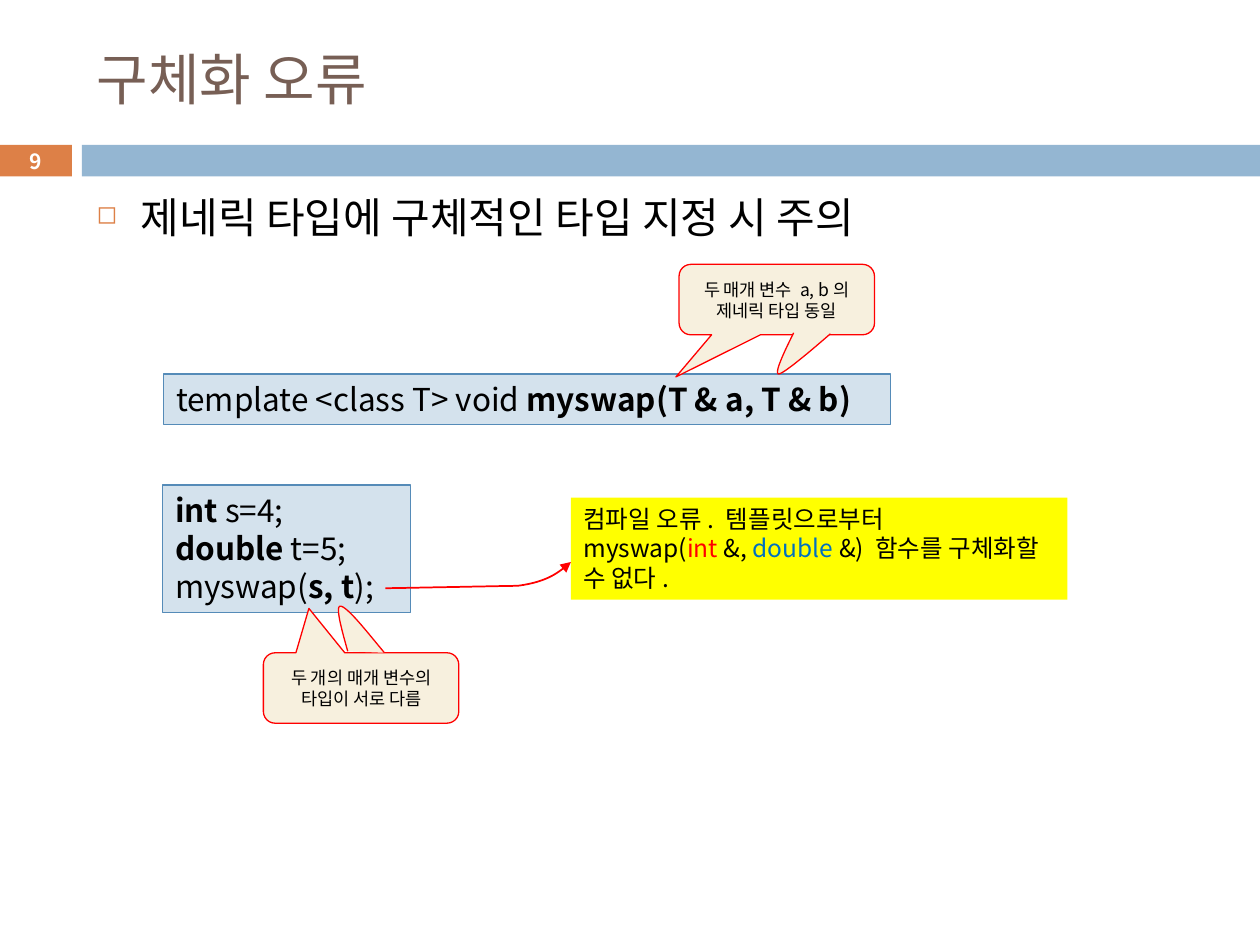
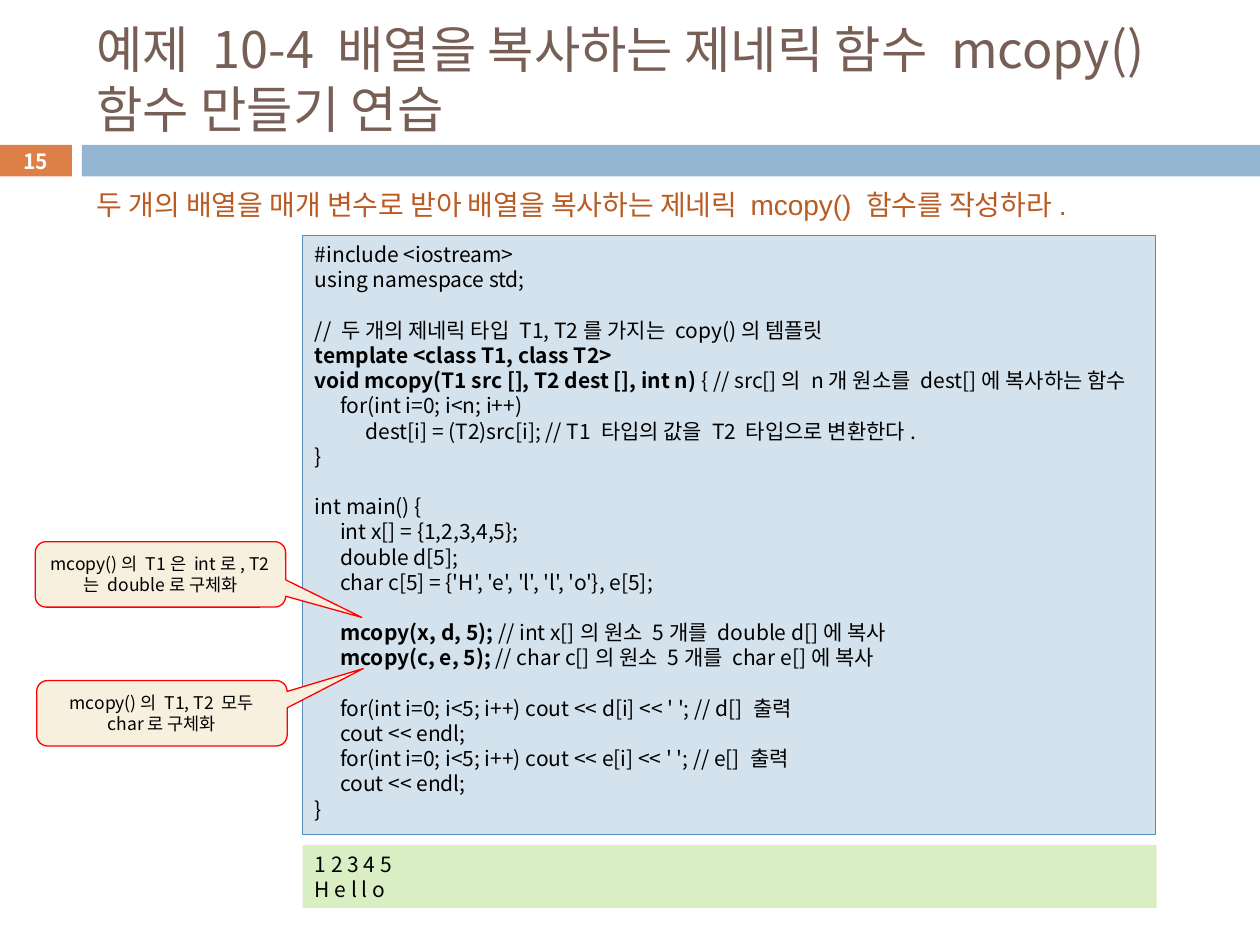
"""Builds two lecture slides about generic functions and their instantiation."""
from lxml.etree import SubElement
from pptx import Presentation
from pptx.dml.color import RGBColor
from pptx.enum.shapes import MSO_SHAPE
from pptx.enum.text import MSO_ANCHOR, PP_ALIGN
from pptx.oxml.ns import qn
from pptx.util import Cm, Pt

FONT = "Noto Sans CJK KR"
BLACK, WHITE, RED, BLUE = "000000", "FFFFFF", "FF0000", "0070C0"
ORANGE, BAND, TITLE, PROMPT = "DD8047", "94B6D2", "775F55", "B95B22"
CODE_FILL, CODE_LINE = "D4E2ED", "558BB8"
NOTE_FILL, ERROR_FILL, OUTPUT_FILL = "F7F0DE", "FFFF00", "DAEEC4"
LEADING = 1.2
TAB = 0.51
BOLD = {"bold": True}

TAG_AT = (0, 2.92, 1.45, 0.64)
BAND_AT = (1.65, 2.92, 23.75, 0.64)
TITLE_AT = (1.7, 0.64, 22.66, 1.88)

CODE = {"fill": CODE_FILL, "line": CODE_LINE}
NOTE = {"fill": NOTE_FILL, "line": RED}
CENTERED = {"anchor": MSO_ANCHOR.MIDDLE, "align": PP_ALIGN.CENTER}

SWAP_BOXES = [
    ((3.3, 7.54, 14.66, 1.02), 18, CODE,
     [(0, "template <class T> void ", ("myswap(T & a, T & b)", BOLD))]),
    ((3.28, 9.78, 5, 2.57), 18, CODE,
     [(0, ("int", BOLD), " s=4;"),
      (0, ("double", BOLD), " t=5;"),
      (0, "myswap(", ("s, t", BOLD), ");")]),
    ((11.51, 10.03, 10.01, 2.06), 14, {"fill": ERROR_FILL},
     [(0, "컴파일 오류. 템플릿으로부터"),
      (0, "myswap(", ("int ", {"color": RED}), "&, ", ("double", {"color": BLUE}),
       " &) 함수를 구체화할 수 없다.")]),
]
SWAP_NOTES = [
    ((13.69, 5.33, 3.94, 1.42), (-0.516, 1.098), "두 매개 변수 a, b의 제네릭 타입 동일"),
    ((5.31, 13.16, 3.94, 1.42), (-0.267, -1.13), "두 개의 매개 변수의 타입이 서로 다름"),
]
SECOND_TAILS = [
    [(16, 6.71), (15.8, 7.11), (15.6, 7.54), (15.7, 7.54),
     (15.82, 7.54), (16.74, 6.73), (16.74, 6.73)],
    [(7.01, 13.13), (6.88, 12.67), (6.76, 12.22), (6.86, 12.22),
     (6.99, 12.22), (7.37, 12.7), (7.75, 13.16)],
]
ERROR_ARROW = [(7.77, 11.86), (7.77, 11.86), (10.44, 11.81), (10.44, 11.81),
               (11.05, 11.73), (11.28, 11.53), (11.51, 11.33)]

COPY_CODE = [
    [(0, "#include <iostream>"),
     (0, "using namespace std;")],
    [(0, "// 두 개의 제네릭 타입 T1, T2를 가지는 copy()의 템플릿"),
     (0, ("template <class T1, class T2>", BOLD)),
     (0, ("void mcopy(T1 src [], T2 dest [], int n) ", BOLD),
      "{ // src[]의 n개 원소를 dest[]에 복사하는 함수"),
     (1, "for(int i=0; i<n; i++)"),
     (2, "dest[i] = (T2)src[i]; // T1 타입의 값을 T2 타입으로 변환한다."),
     (0, "}")],
    [(0, "int main() {"),
     (1, "int x[] = {1,2,3,4,5};"),
     (1, "double d[5];"),
     (1, "char c[5] = {'H', 'e', 'l', 'l', 'o'}, e[5];")],
    [(1, ("mcopy(x, d, 5); ", BOLD), "// int x[]의 원소 5개를 double d[]에 복사"),
     (1, ("mcopy(c, e, 5); ", BOLD), "// char c[]의 원소 5개를 char e[]에 복사")],
    [(1, "for(int i=0; i<5; i++) cout << d[i] << ' '; // d[] 출력"),
     (1, "cout << endl;"),
     (1, "for(int i=0; i<5; i++) cout << e[i] << ' '; // e[] 출력"),
     (1, "cout << endl;"),
     (0, "}")],
]
COPY_OUTPUT = [(0, "1 2 3 4 5"), (0, "H e l l o")]
COPY_NOTES = [
    ((0.71, 10.92, 5.05, 1.32), (0.804, 0.657), "mcopy()의 T1은 int로, T2는 double로 구체화"),
    ((0.74, 13.72, 5.05, 1.32), (0.804, -0.684), "mcopy()의 T1, T2 모두 char로 구체화"),
]


def color(value):
    return RGBColor.from_string(value)


def paint(shape, fill=None, line=None, width=0.75):
    shape.shadow.inherit = False
    if fill:
        shape.fill.solid()
        shape.fill.fore_color.rgb = color(fill)
    else:
        shape.fill.background()
    if line:
        shape.line.color.rgb = color(line)
        shape.line.width = Pt(width)
    else:
        shape.line.fill.background()


def add_span(para, text, ink, **values):
    span = para.add_run()
    span.text = text
    span.font.color.rgb = color(values.pop("color", ink))
    for name, value in values.items():
        setattr(span.font, name, value)
    SubElement(span.font._element, qn("a:ea"), typeface=FONT)


def write(shape, blocks, size, ink=BLACK, anchor=MSO_ANCHOR.TOP, align=PP_ALIGN.LEFT,
          font=FONT, bold=False):
    frame = shape.text_frame
    frame.word_wrap = True
    frame.vertical_anchor = anchor
    para = None
    for block_index, block in enumerate(blocks):
        for line_index, (level, *spans) in enumerate(block):
            para = frame.add_paragraph() if para else frame.paragraphs[0]
            starts_block = block_index > 0 and line_index == 0
            layout = {"alignment": align, "line_spacing": Pt(size * LEADING),
                      "space_before": Pt(size * LEADING if starts_block else 0)}
            for name, value in layout.items():
                setattr(para, name, value)
            if level:
                para._p.get_or_add_pPr().set("marL", str(Cm(TAB * level)))
            for span in spans:
                text, special = (span, {}) if isinstance(span, str) else span
                style = {"name": font, "size": Pt(size), "bold": bold, **special}
                add_span(para, text, ink, **style)


def add_box(page, place, look, kind=MSO_SHAPE.RECTANGLE):
    box = page.shapes.add_shape(kind, *map(Cm, place))
    paint(box, **look)
    return box


def add_text(page, place, text, size, **style):
    box = page.shapes.add_textbox(*map(Cm, place))
    write(box, [[(0, text)]], size, **style)
    return box


def add_note(page, place, tip, text):
    note = add_box(page, place, NOTE, MSO_SHAPE.ROUNDED_RECTANGULAR_CALLOUT)
    for index, value in enumerate((*tip, 0.167)):
        note.adjustments[index] = value
    write(note, [[(0, text)]], 10, **CENTERED)


def curve_points(controls, steps=16):
    points = [controls[0]]
    for start in range(0, len(controls) - 1, 3):
        corners = controls[start:start + 4]
        for step in range(1, steps + 1):
            t = step / steps
            weights = ((1 - t) ** 3, 3 * t * (1 - t) ** 2, 3 * t ** 2 * (1 - t), t ** 3)
            points.append(tuple(sum(w * corner[axis] for w, corner in zip(weights, corners))
                                for axis in (0, 1)))
    return points


def add_curve(page, controls, **look):
    first, *rest = [(Cm(x), Cm(y)) for x, y in curve_points(controls)]
    builder = page.shapes.build_freeform(*first)
    builder.add_line_segments(rest, close=False)
    curve = builder.convert_to_shape()
    paint(curve, **look)
    return curve


def add_bullet(para):
    props = para._p.get_or_add_pPr()
    props.set("marL", str(Cm(0.89)))
    props.set("indent", str(Cm(-0.89)))
    SubElement(SubElement(props, qn("a:buClr")), qn("a:srgbClr"), val=ORANGE)
    SubElement(props, qn("a:buSzPct"), val="60000")
    SubElement(props, qn("a:buChar"), char="◻")


def add_page(deck, number, title, size):
    page = deck.slides.add_slide(deck.slide_layouts[6])
    tag = add_box(page, TAG_AT, {"fill": ORANGE})
    write(tag, [[(0, number)]], 12, WHITE, bold=True, **CENTERED)
    add_box(page, BAND_AT, {"fill": BAND})
    add_text(page, TITLE_AT, title, size, ink=TITLE, anchor=MSO_ANCHOR.MIDDLE)
    return page


def build_swap_page(deck):
    page = add_page(deck, "9", "구체화 오류", 32)
    point = add_text(page, (1.7, 3.73, 22.66, 1.3), "제네릭 타입에 구체적인 타입 지정 시 주의", 24)
    add_bullet(point.text_frame.paragraphs[0])
    for place, size, look, lines in SWAP_BOXES:
        write(add_box(page, place, look), [lines], size)
    for note in SWAP_NOTES:
        add_note(page, *note)
    for tail in SECOND_TAILS:
        add_curve(page, tail, **NOTE)
    arrow = add_curve(page, ERROR_ARROW, line=RED, width=1)
    SubElement(arrow.line._get_or_add_ln(), qn("a:tailEnd"), type="triangle")


def build_copy_page(deck):
    page = add_page(deck, "15", "예제 10-4 배열을 복사하는 제네릭 함수 mcopy() 함수 만들기 연습", 28.8)
    write(add_box(page, (6.1, 4.75, 17.2, 12.07), CODE), COPY_CODE, 12)
    write(add_box(page, (6.1, 17.04, 17.22, 1.27), {"fill": OUTPUT_FILL}), [COPY_OUTPUT], 12)
    add_text(page, (1.7, 3.66, 21.89, 0.94),
             "두 개의 배열을 매개 변수로 받아 배열을 복사하는 제네릭 mcopy() 함수를 작성하라.",
             16, ink=PROMPT, font="Arial")
    for note in COPY_NOTES:
        add_note(page, *note)


def main():
    deck = Presentation()
    deck.slide_width, deck.slide_height = Cm(25.4), Cm(19.05)
    build_swap_page(deck)
    build_copy_page(deck)
    deck.save("out.pptx")


if __name__ == "__main__":
    main()
